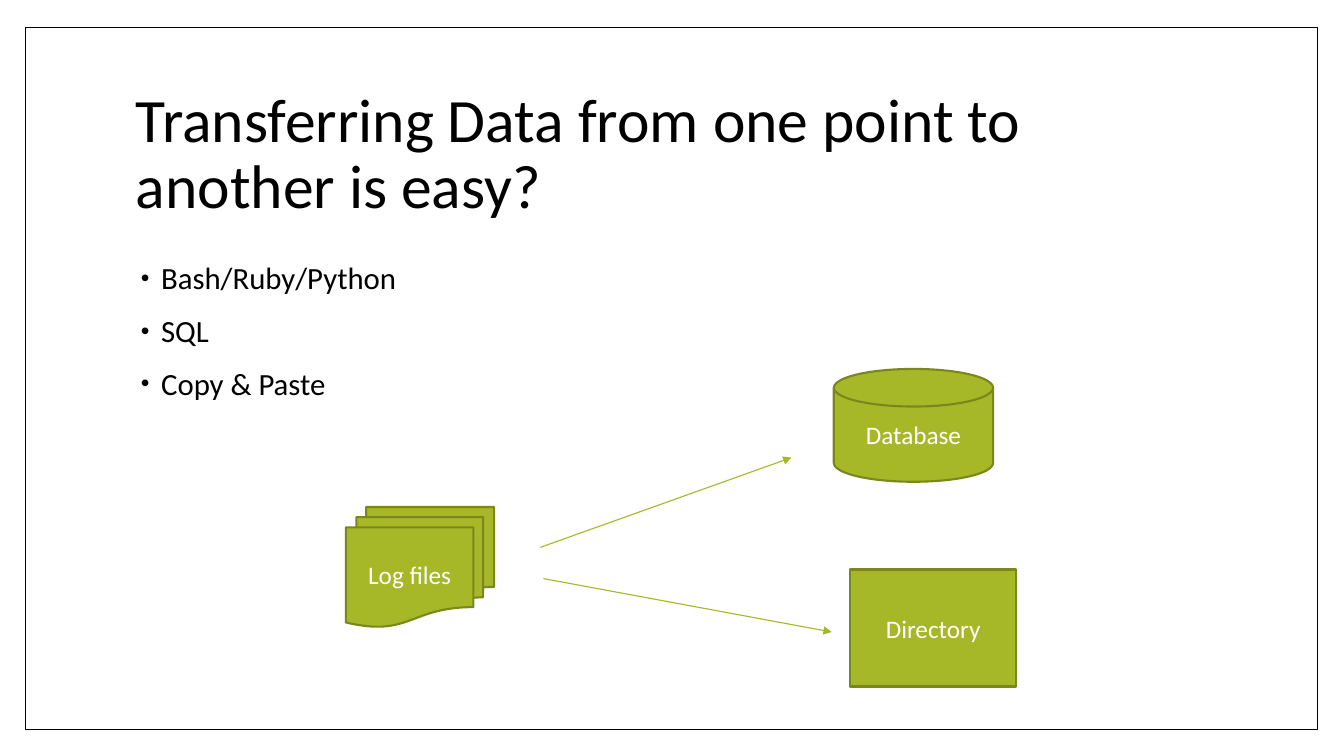
from lxml import etree
from pptx import Presentation
from pptx.dml.color import RGBColor
from pptx.enum.shapes import MSO_CONNECTOR, MSO_SHAPE
from pptx.enum.text import MSO_ANCHOR, PP_ALIGN
from pptx.oxml.ns import qn
from pptx.util import Inches, Pt

STRAIGHT = MSO_CONNECTOR.STRAIGHT
RECTANGLE = MSO_SHAPE.RECTANGLE
DOCUMENTS = MSO_SHAPE.FLOWCHART_MULTIDOCUMENT
DISK = MSO_SHAPE.FLOWCHART_MAGNETIC_DISK
PROCESS = MSO_SHAPE.FLOWCHART_PROCESS
TOP, MIDDLE = MSO_ANCHOR.TOP, MSO_ANCHOR.MIDDLE
LEFT, CENTER = PP_ALIGN.LEFT, PP_ALIGN.CENTER

WIDTH, HEIGHT = Inches(13.33), Inches(7.5)
SLIDE_BOX = (0, 0, WIDTH, HEIGHT)
COLORS = {
    "paper": "FFFFFF",
    "ink": "000000",
    "olive": "A6B727",
    "olive_edge": "7B871D",
}
FONT = "Calibri"
TITLE_FORMAT = {"size": Pt(44), "name": FONT}
BULLET_FORMAT = {"size": Pt(22), "name": FONT}
LABEL_FORMAT = {"size": Pt(18), "name": FONT}
TITLE_SPACING = {"alignment": LEFT, "line_spacing": 0.9}
LABEL_SPACING = {"alignment": CENTER}


def color(name):
    return RGBColor.from_string(COLORS[name])


def point_in(box, x, y):
    left, top, width, height = box
    return round(left + width * x / 100), round(top + height * y / 100)


def box_in(box, x, y, columns, rows):
    left, top = point_in(box, x, y)
    right, bottom = point_in(box, x + columns, y + rows)
    return left, top, right - left, bottom - top


def set_values(target, values):
    for name, value in values.items():
        setattr(target, name, value)


def write_paragraph(paragraph, text, spacing, font_format, font_color):
    set_values(paragraph, spacing)
    run = paragraph.add_run()
    run.text = text
    set_values(run.font, font_format)
    run.font.color.rgb = color(font_color)


def add_bullet(paragraph):
    properties = paragraph._p.get_or_add_pPr()
    properties.set("marL", str(Inches(0.25)))
    properties.set("indent", str(Inches(-0.2)))
    bullet_color = etree.SubElement(properties, qn("a:buClr"))
    etree.SubElement(bullet_color, qn("a:srgbClr"), val=COLORS["ink"])
    etree.SubElement(properties, qn("a:buSzPct"), val="80000")
    etree.SubElement(properties, qn("a:buFont"), typeface="Arial")
    etree.SubElement(properties, qn("a:buChar"), char="•")


def add_block(slide, kind, box, fill, edge, edge_width):
    shape = slide.shapes.add_shape(kind, *box)
    shape.shadow.inherit = False
    shape.fill.solid()
    shape.fill.fore_color.rgb = color(fill)
    shape.line.color.rgb = color(edge)
    shape.line.width = Pt(edge_width)
    return shape


def add_arrow(slide, start, end):
    connector = slide.shapes.add_connector(STRAIGHT, *start, *end)
    connector.line.color.rgb = color("olive")
    connector.line.width = Pt(0.79)
    line = connector.line._get_or_add_ln()
    etree.SubElement(line, qn("a:tailEnd"), type="triangle")
    etree.SubElement(connector._element.spPr, qn("a:effectLst"))


def add_text_frame(slide, box, anchor):
    frame = slide.shapes.add_textbox(*box).text_frame
    set_values(frame, {"word_wrap": True, "vertical_anchor": anchor})
    return frame


def add_title(slide, box, text):
    frame = add_text_frame(slide, box, MIDDLE)
    write_paragraph(frame.paragraphs[0], text, TITLE_SPACING, TITLE_FORMAT, "ink")


def add_bullets(slide, box, items):
    frame = add_text_frame(slide, box, TOP)
    for index, item in enumerate(items):
        paragraph = frame.add_paragraph() if index else frame.paragraphs[0]
        add_bullet(paragraph)
        spacing = {"line_spacing": 0.9, "space_before": Pt(14 if index else 0)}
        write_paragraph(paragraph, item, spacing, BULLET_FORMAT, "ink")


def add_transfer_diagram(slide, box):
    nodes = [
        (DOCUMENTS, "Log files", (0, 43.49, 22.11, 37.78)),
        (DISK, "Database", (72.78, 0, 23.76, 35.56)),
        (PROCESS, "Directory", (75.19, 63.17, 24.81, 36.83)),
    ]
    arrows = [
        ((29.02, 56.19), (66.47, 27.94)),
        ((29.47, 66.03), (72.48, 82.86)),
    ]
    for kind, label, area in nodes:
        shape = add_block(slide, kind, box_in(box, *area), "olive", "olive_edge", 1.5)
        frame = shape.text_frame
        set_values(frame, {"word_wrap": True, "vertical_anchor": MIDDLE})
        write_paragraph(frame.paragraphs[0], label, LABEL_SPACING, LABEL_FORMAT, "paper")
    for start, end in arrows:
        add_arrow(slide, point_in(box, *start), point_in(box, *end))


def build_slide(presentation):
    slide = presentation.slides.add_slide(presentation.slide_layouts[6])
    frame_box = box_in(SLIDE_BOX, 1.88, 3.6, 96.17, 92.93)
    add_block(slide, RECTANGLE, frame_box, "paper", "ink", 1)
    add_title(
        slide,
        box_in(SLIDE_BOX, 9.38, 8.93, 81.02, 23.33),
        "Transferring Data from one point to another is easy?",
    )
    add_bullets(
        slide,
        box_in(SLIDE_BOX, 9.38, 34.13, 81.02, 54.8),
        ["Bash/Ruby/Python", "SQL", "Copy & Paste"],
    )
    add_transfer_diagram(slide, box_in(SLIDE_BOX, 25.73, 48.8, 49.89, 42))


def main():
    presentation = Presentation()
    presentation.slide_width = WIDTH
    presentation.slide_height = HEIGHT
    build_slide(presentation)
    presentation.save("out.pptx")


if __name__ == "__main__":
    main()
